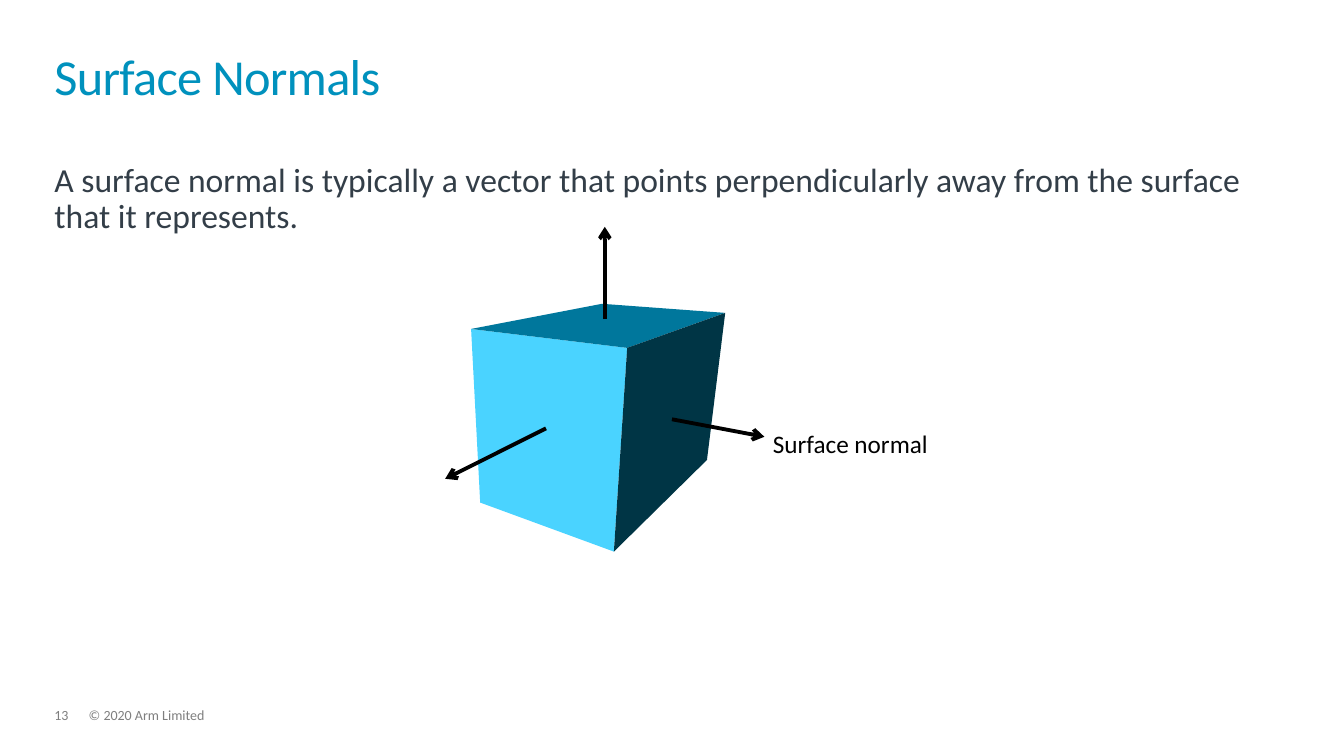
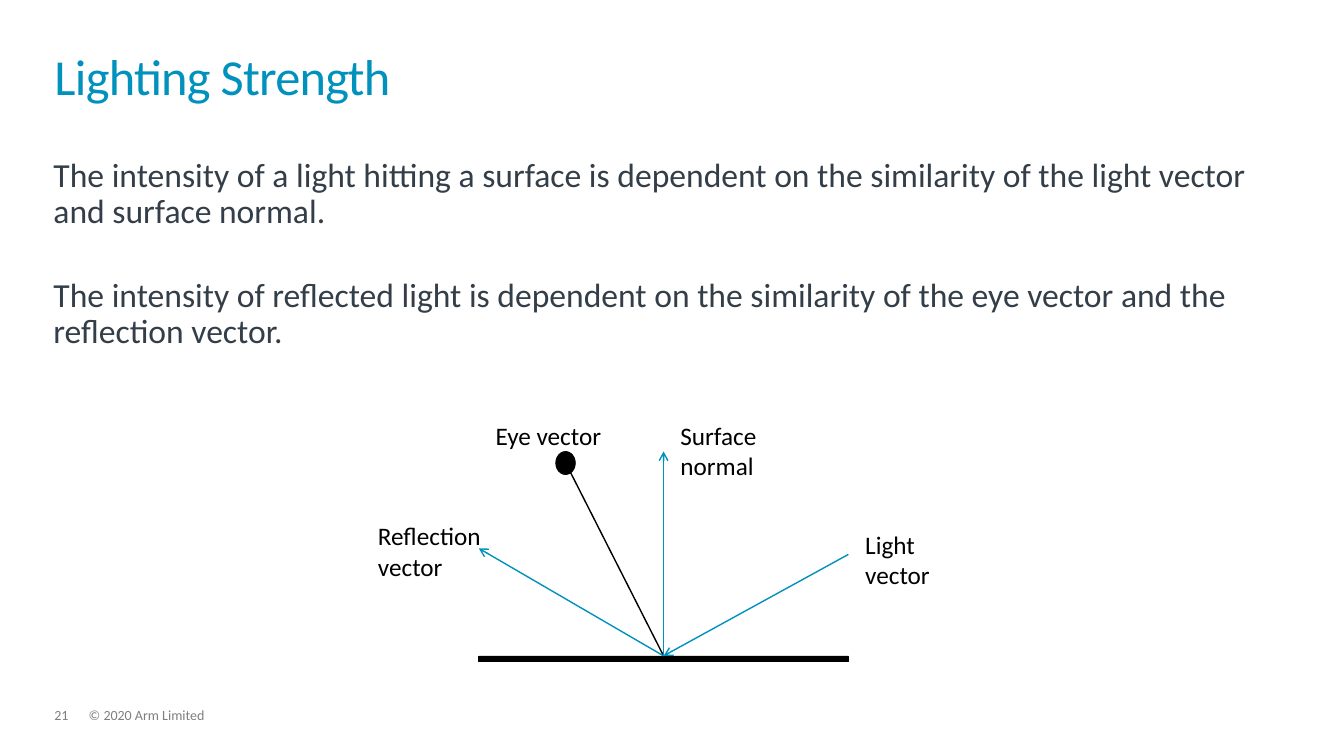
from lxml import etree
from pptx import Presentation
from pptx.dml.color import RGBColor
from pptx.enum.shapes import MSO_CONNECTOR, MSO_SHAPE
from pptx.enum.text import MSO_ANCHOR
from pptx.oxml.ns import qn
from pptx.util import Pt

STRAIGHT = MSO_CONNECTOR.STRAIGHT
RECTANGLE, OVAL = MSO_SHAPE.RECTANGLE, MSO_SHAPE.OVAL
TOP, BOTTOM = MSO_ANCHOR.TOP, MSO_ANCHOR.BOTTOM

FONT = "Calibri"
COLORS = {
    "title": "0091BD", "body": "333E48", "footer": "7F7F7F", "ink": "000000",
    "front": "4AD3FF", "top": "00779C", "side": "003545",
}
MARGIN = 38.9
CONTENT_WIDTH = 880.6
TOP_SIDE = 0


def color(name):
    """Return the palette colour of that name."""
    return RGBColor.from_string(COLORS[name])


def add_text(slide, box, lines, size, tint, spacing=None, after=0, anchor=TOP):
    """Place paragraphs of one style in a box without insets."""
    frame = slide.shapes.add_textbox(*map(Pt, box)).text_frame
    frame.margin_left = frame.margin_right = frame.margin_top = frame.margin_bottom = 0
    frame.word_wrap = True
    frame.vertical_anchor = anchor
    frame.text = "\n".join(lines)
    for paragraph in frame.paragraphs:
        paragraph.font.name = FONT
        paragraph.font.size = Pt(size)
        paragraph.font.color.rgb = color(tint)
        paragraph.space_after = Pt(after)
        if spacing:
            paragraph.line_spacing = spacing
    return frame


def add_label(slide, left, top, *lines):
    """Place a diagram label, one paragraph a line."""
    add_text(slide, (left, top, 120, 22 * len(lines)), lines, 18, "ink")


def add_vector(slide, start, end, tint, width, arrow=True):
    """Draw a straight vector from start to end."""
    vector = slide.shapes.add_connector(STRAIGHT, *map(Pt, (*start, *end)))
    vector.line.color.rgb = color(tint)
    vector.line.width = Pt(width)
    properties = vector._element.spPr
    if arrow:
        etree.SubElement(properties.find(qn("a:ln")), qn("a:tailEnd"), type="arrow")
    etree.SubElement(properties, qn("a:effectLst"))
    return vector


def add_solid(slide, kind, box):
    """Draw a black preset shape with a thin outline."""
    solid = slide.shapes.add_shape(kind, *map(Pt, box))
    solid.shadow.inherit = False
    solid.fill.solid()
    solid.fill.fore_color.rgb = color("ink")
    solid.line.color.rgb = color("ink")
    solid.line.width = Pt(0.5)
    return solid


def add_face(slide, corners, tint):
    """Draw one flat face of the cube."""
    first, *others = [(Pt(x), Pt(y)) for x, y in corners]
    outline = slide.shapes.build_freeform(*first)
    outline.add_line_segments(others, close=True)
    face = outline.convert_to_shape()
    face.shadow.inherit = False
    face.fill.solid()
    face.fill.fore_color.rgb = color(tint)
    face.line.fill.background()


def add_page(deck, title, number):
    """Add a blank slide with the shared title and footer."""
    slide = deck.slides.add_slide(deck.slide_layouts[6])
    footers = ((MARGIN, 24.5, str(number)), (63.4, 657.4, "© 2020 Arm Limited"))
    for left, width, text in footers:
        add_text(slide, (left, 506.2, width, 10.8), [text], 10, "footer", 0.9)
    heading = add_text(slide, (MARGIN, 23, CONTENT_WIDTH, 52.6), [title], 36, "title",
                       0.85, anchor=BOTTOM)
    heading.paragraphs[0].runs[0].font._element.set("spc", "-50")
    return slide


def add_body(slide, left, top, height, paragraphs, after=0):
    """Place the body text."""
    add_text(slide, (left, top, CONTENT_WIDTH, height), paragraphs, 24, "body", 0.9, after)


def draw_cube(slide, left, top):
    """Draw a cube with the normals of its three visible faces."""
    def at(x, y):
        """Return a point relative to the diagram."""
        return left + x, top + y

    front_left, front_right = at(18.5, 73), at(130, 86.5)
    base_left, base_front, base_right = at(25, 197), at(120.5, 232), at(187, 166.5)
    back_left, back_right = at(112, 55), at(200, 61.5)
    faces = {
        "front": (front_left, front_right, base_front, base_left),
        "top": (front_left, back_left, back_right, front_right),
        "side": (front_right, back_right, base_right, base_front),
    }
    for tint, corners in faces.items():
        add_face(slide, corners, tint)
    normals = (
        (at(162, 137.5), at(228, 150)),
        (at(114, 66), at(114, 0)),
        (at(72, 144), at(0, 180)),
    )
    for start, end in normals:
        add_vector(slide, start, end, "ink", 2.75)
    add_label(slide, *at(234, 144), "Surface normal")


def draw_reflection(slide, left, top):
    """Draw the vectors that meet in the middle of a surface."""
    def at(x, y):
        """Return a point relative to the diagram."""
        return left + x, top + y

    surface = add_solid(slide, RECTANGLE, (*at(72, 168.5), 264, 4))
    hit = at(204, 168.5)
    eye = at(134, 30.5)
    add_vector(slide, eye, hit, "ink", 1, arrow=False).end_connect(surface, TOP_SIDE)
    add_solid(slide, OVAL, (eye[0] - 7, eye[1] - 8, 14, 16.5))
    for tip in (at(204, 22.5), at(72, 91.7)):
        add_vector(slide, hit, tip, "title", 1).begin_connect(surface, TOP_SIDE)
    add_vector(slide, at(336, 96), hit, "title", 1).end_connect(surface, TOP_SIDE)
    add_label(slide, *at(84, 0), "Eye vector")
    add_label(slide, *at(216, 0), "Surface", "normal")
    add_label(slide, *at(348, 78), "Light", "vector")
    add_label(slide, *at(0, 72), "Reflection", "vector")


def build_normals(deck):
    """Build the slide on surface normals."""
    slide = add_page(deck, "Surface Normals", 13)
    add_body(slide, MARGIN, 116.6, 322, [
        "A surface normal is typically a vector that points perpendicularly away "
        "from the surface that it represents.",
    ])
    draw_cube(slide, 318, 162)


def build_lighting(deck):
    """Build the slide on lighting strength."""
    slide = add_page(deck, "Lighting Strength", 21)
    add_body(slide, 38.2, 113, 140, [
        "The intensity of a light hitting a surface is dependent on the similarity "
        "of the light vector and surface normal.",
        "The intensity of reflected light is dependent on the similarity of the eye "
        "vector and the reflection vector.",
    ], after=34)
    draw_reflection(slide, 270, 300)


def main():
    """Build and save the deck."""
    deck = Presentation()
    deck.slide_width, deck.slide_height = Pt(960), Pt(540)
    build_normals(deck)
    build_lighting(deck)
    deck.save("out.pptx")


if __name__ == "__main__":
    main()
